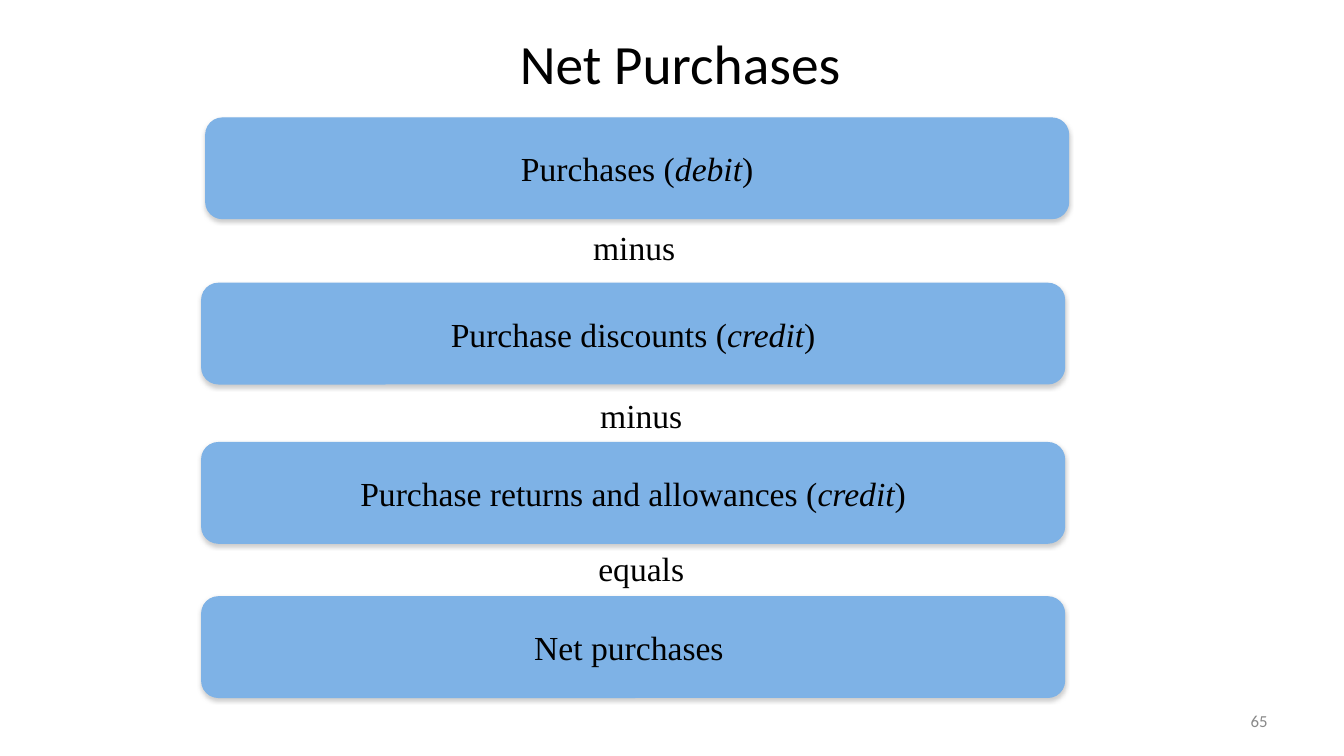
import pptx
import pptx.dml.color
import pptx.enum.shapes
import pptx.enum.text
import pptx.oxml
import pptx.oxml.ns
import pptx.util
from pptx.util import Inches

BLACK = pptx.dml.color.RGBColor(0x00, 0x00, 0x00)
GREY = pptx.dml.color.RGBColor(0x89, 0x89, 0x89)
BLUE = pptx.dml.color.RGBColor(0x7E, 0xB2, 0xE6)
ALIGN = pptx.enum.text.PP_ALIGN
MIDDLE = pptx.enum.text.MSO_ANCHOR.MIDDLE
SHADOW = (
    f'<a:outerShdw {pptx.oxml.ns.nsdecls("a")} blurRad="40000" dist="20000" '
    'dir="5400000" rotWithShape="0"><a:srgbClr val="808080">'
    '<a:alpha val="38000"/></a:srgbClr></a:outerShdw>'
)


def write(sp, runs, size, color=BLACK, align=ALIGN.CENTER):
    """Fill the first paragraph of sp with (text, font name, italic) runs."""
    tf = sp.text_frame
    tf.word_wrap = True
    p = tf.paragraphs[0]
    p.alignment = align
    for text, name, italic in runs:
        r = p.add_run()
        r.text = text
        r.font.color.rgb = color
        formats = {"name": name, "size": pptx.util.Pt(size), "italic": italic}
        for key, value in formats.items():
            setattr(r.font, key, value)


prs = pptx.Presentation()
prs.slide_width, prs.slide_height = Inches(13.33), Inches(7.5)
s = prs.slides.add_slide(prs.slide_layouts[5])

title = s.shapes.title
title.left, title.top = Inches(0.56), Inches(0.25)
title.width, title.height = Inches(12.22), Inches(0.73)
title.text_frame.vertical_anchor = MIDDLE
write(title, [(" ", "Arial", False), ("Net Purchases", "Calibri", False)], 39.6)

number = s.shapes.add_textbox(Inches(9.56), Inches(6.95), Inches(3.11), Inches(0.4))
number.text_frame.vertical_anchor = MIDDLE
write(number, [("65", "Calibri", False)], 12, GREY, ALIGN.RIGHT)

# Left, top, label, and the account side set in italics
steps = [
    (2.04, 1.17, "Purchases", "debit"),
    (2, 2.81, "Purchase discounts", "credit"),
    (2, 4.39, "Purchase returns and allowances", "credit"),
    (2, 5.92, "Net purchases ", None),
]
for left, top, label, side in steps:
    sp = s.shapes.add_shape(
        pptx.enum.shapes.MSO_SHAPE.ROUNDED_RECTANGLE,
        Inches(left), Inches(top), Inches(8.56), Inches(1))
    sp.fill.solid()
    sp.fill.fore_color.rgb = BLUE
    sp.line.color.rgb = BLUE
    sp.line.width = pptx.util.Pt(0.75)
    sp.shadow.inherit = False
    effects = sp._element.spPr.find(pptx.oxml.ns.qn("a:effectLst"))
    effects.append(pptx.oxml.parse_xml(SHADOW))
    sp.text_frame.vertical_anchor = MIDDLE
    parts = [(label + " (", False), (side, True), (")", False)] if side else [(label, False)]
    write(sp, [(text, "Times New Roman", italic) for text, italic in parts], 24)

operators = [(5.18, 2.2, "minus"), (5.25, 3.87, "minus"), (5.25, 5.39, "equals")]
for left, top, word in operators:
    sp = s.shapes.add_textbox(Inches(left), Inches(top), Inches(2.22), Inches(0.5))
    write(sp, [(word, "Times New Roman", False)], 24)

prs.save("out.pptx")
